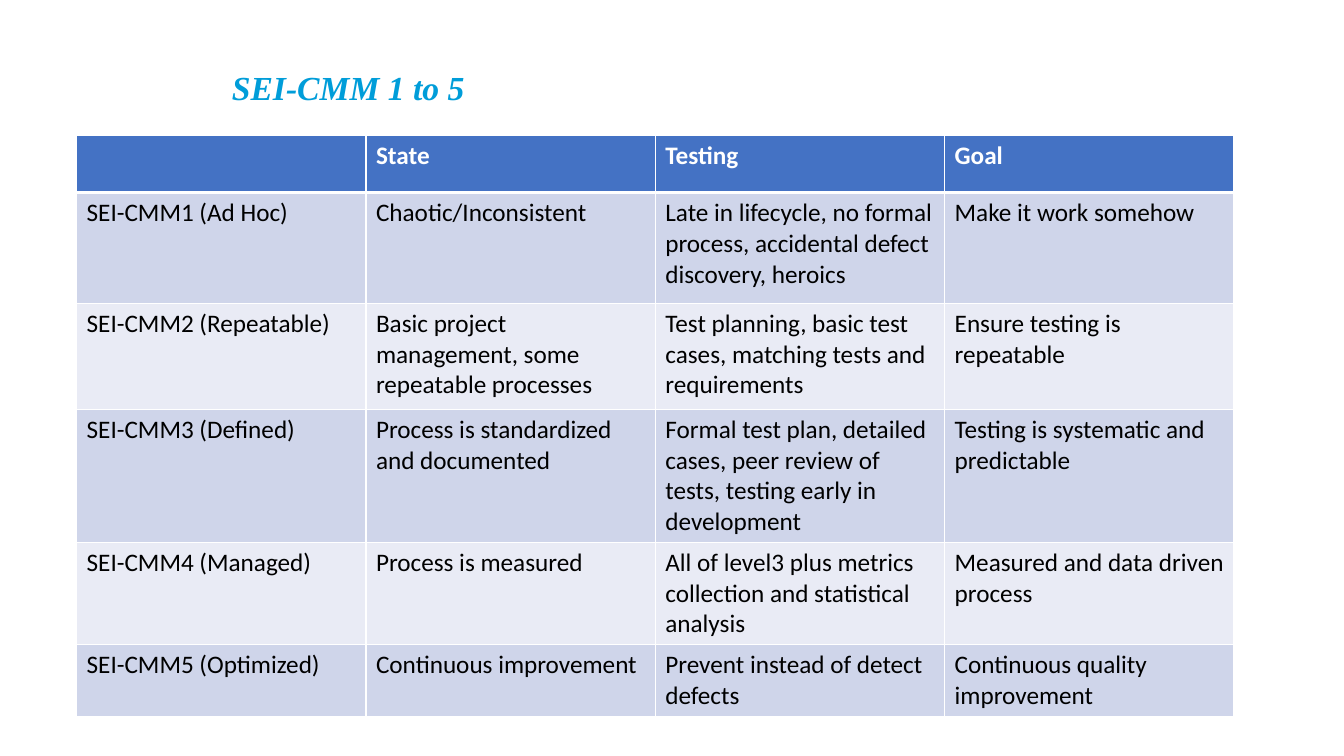
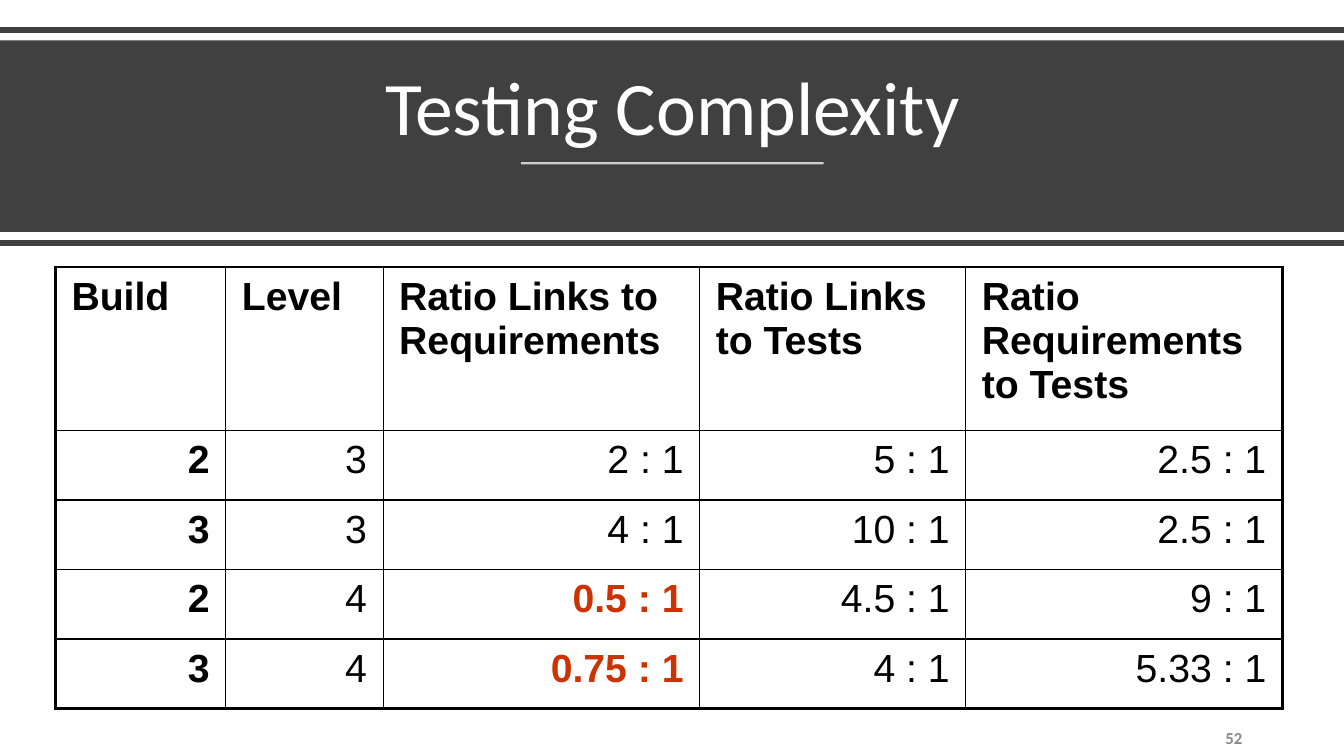
from dataclasses import dataclass
from typing import NamedTuple, Sequence

from lxml.etree import SubElement
from pptx import Presentation
from pptx.dml.color import RGBColor
from pptx.enum.shapes import MSO_CONNECTOR, MSO_SHAPE
from pptx.enum.text import MSO_ANCHOR as Anchor, MSO_AUTO_SIZE, PP_ALIGN as Align
from pptx.oxml.ns import qn
from pptx.slide import Slide
from pptx.table import _Cell as Cell
from pptx.text.text import TextFrame
from pptx.util import Inches, Pt


@dataclass(frozen=True)
class Theme:
    white: str = "FFFFFF"
    black: str = "000000"
    band: str = "404040"
    heading: str = "009DD9"
    page_number: str = "898989"
    alert: str = "CC3300"
    header_fill: str = "4472C4"
    row_fills: tuple[str, str] = ("CFD5EA", "E9EBF5")
    body_font: str = "Calibri"
    heading_font: str = "Times New Roman"
    data_font: str = "Arial"
    banner_size: float = 54
    data_size: float = 28
    heading_size: float = 24
    body_size: float = 18
    note_size: float = 12


THEME = Theme()


class Box(NamedTuple):
    left: float
    top: float
    width: float
    height: float


class Rule(NamedTuple):
    """A horizontal line; opacity is in percent."""
    left: float
    right: float
    y: float
    color: str
    weight: float
    opacity: int = 100


class Grid(NamedTuple):
    """Place, track sizes and border weights of a table."""
    left: float
    top: float
    columns: Sequence[float]
    rows: Sequence[float]
    border: str
    inner: float = 1
    outer: float = 1
    under_header: float = 1


SLIDE = Box(0, 0, 13.33, 7.5)

CMM_GRID = Grid(0.76, 1.34, [2.87] * 4, [0.57, 1.1, 1.05, 1.3, 1, 0.7],
                THEME.white, under_header=3)
CMM_LEVELS = [
    ("", "State", "Testing", "Goal"),
    ("SEI-CMM1 (Ad Hoc)", "Chaotic/Inconsistent",
     "Late in lifecycle, no formal process, accidental defect discovery, heroics",
     "Make it work somehow"),
    ("SEI-CMM2 (Repeatable)",
     "Basic project management, some repeatable processes",
     "Test planning, basic test cases, matching tests and requirements",
     "Ensure testing is repeatable"),
    ("SEI-CMM3 (Defined)", "Process is standardized and documented",
     "Formal test plan, detailed cases, peer review of tests, "
     "testing early in development",
     "Testing is systematic and predictable"),
    ("SEI-CMM4 (Managed)", "Process is measured",
     "All of level3 plus metrics collection and statistical analysis",
     "Measured and data driven process"),
    ("SEI-CMM5 (Optimized)", "Continuous improvement",
     "Prevent instead of detect defects", "Continuous quality improvement"),
]

RATIO_GRID = Grid(0.55, 2.65, [1.69, 1.56, 3.14, 2.64, 3.14],
                  [1.62] + [0.69] * 4, THEME.black, outer=2.25)
RATIOS = [
    ("Build", "Level", "Ratio Links to Requirements", "Ratio Links to Tests",
     "Ratio Requirements to Tests"),
    ("2", "3", "2 : 1", "5 : 1", "2.5 : 1"),
    ("3", "3", "4 : 1", "10 : 1", "2.5 : 1"),
    ("2", "4", "0.5 : 1", "4.5 : 1", "9 : 1"),
    ("3", "4", "0.75 : 1", "4 : 1", "5.33 : 1"),
]
ALERT_RATIOS = {"0.5 : 1", "0.75 : 1"}

BANNER_RULES = [
    Rule(0, SLIDE.width, 0.3, THEME.band, 4),
    Rule(5.17, 8.17, 1.62, THEME.white, 1.5, opacity=75),
    Rule(0, SLIDE.width, 2.41, THEME.band, 4),
]


def rgb(color: str) -> RGBColor:
    return RGBColor.from_string(color)


def write(frame: TextFrame, text: str, *, size: float = THEME.body_size,
          font: str = THEME.body_font, color: str = THEME.black,
          bold: bool = False, italic: bool = False, align: Align = Align.LEFT,
          line_spacing: float = 1, space_after: float = 0) -> None:
    paragraph = frame.paragraphs[0]
    paragraph.alignment = align
    paragraph.line_spacing = line_spacing
    paragraph.space_before = Pt(0)
    paragraph.space_after = Pt(space_after)
    paragraph.font.size = Pt(size)
    if text:
        run = paragraph.add_run()
        run.text = text
        run.font.size, run.font.name = Pt(size), font
        run.font.bold, run.font.italic = bold, italic
        run.font.color.rgb = rgb(color)


def place_title(slide: Slide, text: str, box: Box, anchor: Anchor, **style) -> None:
    title = slide.shapes.title
    title.left, title.top, title.width, title.height = map(Inches, box)
    frame = title.text_frame
    frame.word_wrap = True
    frame.auto_size = MSO_AUTO_SIZE.NONE
    frame.vertical_anchor = anchor
    write(frame, text, **style)


def draw_rule(slide: Slide, rule: Rule) -> None:
    y = Inches(rule.y)
    line = slide.shapes.add_connector(
        MSO_CONNECTOR.STRAIGHT, Inches(rule.left), y, Inches(rule.right), y)
    line.line.color.rgb = rgb(rule.color)
    line.line.width = Pt(rule.weight)
    properties = line._element.spPr
    if rule.opacity < 100:
        tint = properties.find(".//" + qn("a:srgbClr"))
        SubElement(tint, qn("a:alpha")).set("val", str(rule.opacity * 1000))
    SubElement(properties, qn("a:effectLst"))


def draw_banner(slide: Slide) -> None:
    """Draw the dark band behind the title, and its rules."""
    band = slide.shapes.add_shape(
        MSO_SHAPE.RECTANGLE, *map(Inches, (0, 0.4, SLIDE.width, 1.9)))
    band.shadow.inherit = False
    band.fill.solid()
    band.fill.fore_color.rgb = rgb(THEME.band)
    band.line.fill.background()
    slide.shapes.title._element.addprevious(band._element)
    for rule in BANNER_RULES:
        draw_rule(slide, rule)


def draw_borders(cell: Cell, grid: Grid, row: int, column: int) -> None:
    def weight(edge: int, last: int) -> float:
        return grid.outer if edge in (0, last) else grid.inner

    def row_weight(edge: int) -> float:
        return grid.under_header if edge == 1 else weight(edge, len(grid.rows))

    column_count = len(grid.columns)
    weights = {
        "a:lnL": weight(column, column_count),
        "a:lnR": weight(column + 1, column_count),
        "a:lnT": row_weight(row),
        "a:lnB": row_weight(row + 1),
    }
    properties = cell._tc.get_or_add_tcPr()
    for tag, points in weights.items():
        edge = SubElement(properties, qn(tag), w=str(Pt(points)))
        fill = SubElement(edge, qn("a:solidFill"))
        SubElement(fill, qn("a:srgbClr"), val=grid.border)


def add_grid(slide: Slide, grid: Grid) -> list[list[Cell]]:
    """Add an empty bordered table and return its cells by row."""
    table = slide.shapes.add_table(
        len(grid.rows), len(grid.columns), Inches(grid.left), Inches(grid.top),
        Inches(sum(grid.columns)), Inches(sum(grid.rows))).table
    table.horz_banding = False
    for column, width in zip(table.columns, grid.columns):
        column.width = Inches(width)
    for row, height in zip(table.rows, grid.rows):
        row.height = Inches(height)
    cells = [list(row.cells) for row in table.rows]
    for r, row_cells in enumerate(cells):
        for c, cell in enumerate(row_cells):
            draw_borders(cell, grid, r, c)
    return cells


def build_cmm_slide(slide: Slide) -> None:
    place_title(slide, "SEI-CMM 1 to 5", Box(2.2, 0.61, 8.98, 0.51), Anchor.TOP,
                size=THEME.heading_size, font=THEME.heading_font,
                color=THEME.heading, bold=True, italic=True)
    for r, cells in enumerate(add_grid(slide, CMM_GRID)):
        header = r == 0
        fill = THEME.header_fill if header else THEME.row_fills[(r - 1) % 2]
        for cell, text in zip(cells, CMM_LEVELS[r]):
            cell.fill.solid()
            cell.fill.fore_color.rgb = rgb(fill)
            write(cell.text_frame, text, bold=header,
                  color=THEME.white if header else THEME.black)


def build_ratio_slide(slide: Slide) -> None:
    draw_banner(slide)
    place_title(slide, "Testing Complexity", Box(0.58, 0.54, 12.18, 1.02),
                Anchor.BOTTOM, size=THEME.banner_size, color=THEME.white,
                align=Align.CENTER, line_spacing=0.9)
    page_number = slide.shapes.add_textbox(
        *map(Inches, (9.42, 7.13, 3, 0.38))).text_frame
    page_number.word_wrap = True
    page_number.vertical_anchor = Anchor.MIDDLE
    write(page_number, "52", size=THEME.note_size, color=THEME.page_number,
          bold=True, align=Align.RIGHT, space_after=6)
    for r, cells in enumerate(add_grid(slide, RATIO_GRID)):
        for c, (cell, text) in enumerate(zip(cells, RATIOS[r])):
            alert = text in ALERT_RATIOS
            cell.fill.background()
            cell.margin_left = cell.margin_right = Inches(0.16)
            cell.margin_top = cell.margin_bottom = Inches(0.08)
            write(cell.text_frame, text, size=THEME.data_size,
                  font=THEME.data_font, bold=r == 0 or c == 0 or alert,
                  color=THEME.alert if alert else THEME.black,
                  align=Align.RIGHT if r else Align.LEFT)


def main() -> None:
    deck = Presentation()
    deck.slide_width, deck.slide_height = Inches(SLIDE.width), Inches(SLIDE.height)
    title_only = deck.slide_layouts.get_by_name("Title Only")
    for build in (build_cmm_slide, build_ratio_slide):
        build(deck.slides.add_slide(title_only))
    deck.save("out.pptx")


if __name__ == "__main__":
    main()
